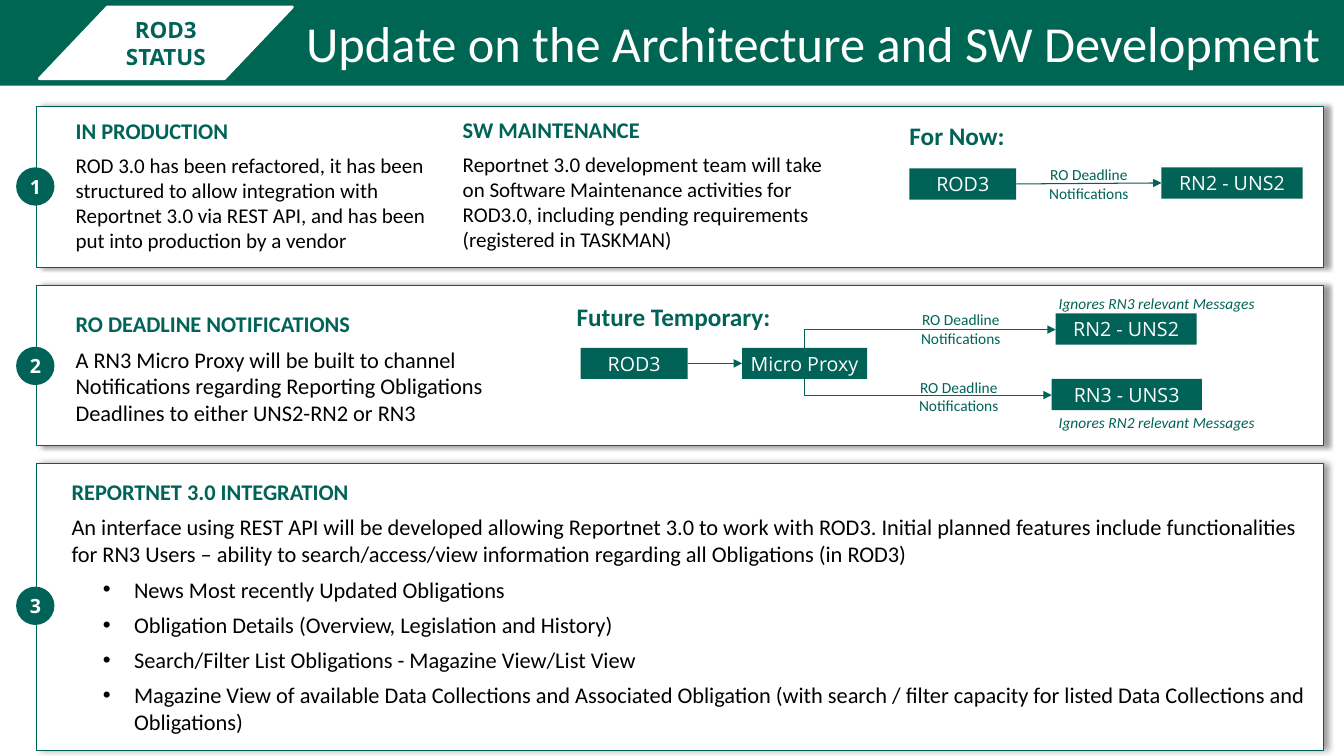
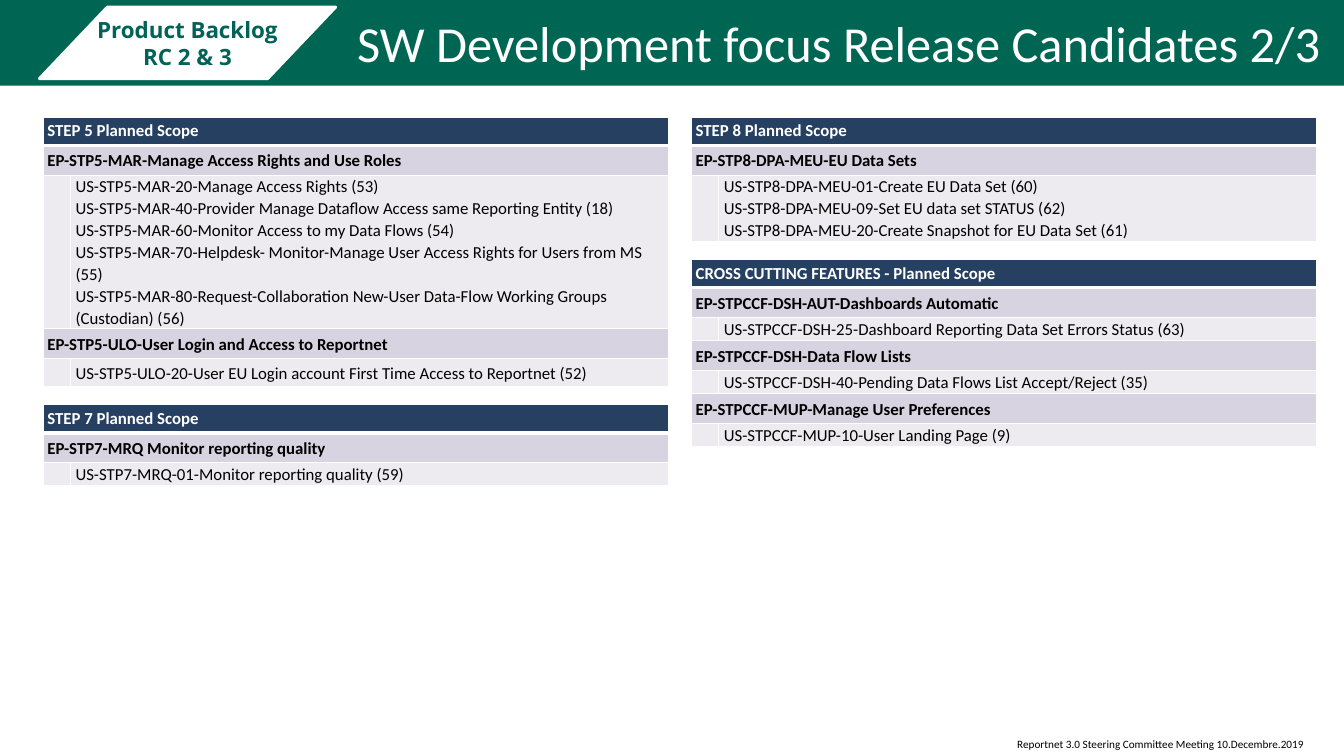
"""Build two status slides: an architecture update and a release backlog."""
from dataclasses import dataclass, replace

from lxml import etree
from pptx import Presentation
from pptx import util as u
from pptx.dml import color
from pptx.enum import shapes, text
from pptx.oxml import ns

PX = 9144
BAND, GREEN, WHITE, BLACK = "006654", "016357", "FFFFFF", "000000"
NAVY, LILAC, PALE = "254061", "D8D3E0", "EDEAF0"
LEFT, CENTER, RIGHT = text.PP_ALIGN.LEFT, text.PP_ALIGN.CENTER, text.PP_ALIGN.RIGHT
TOP, MIDDLE = text.MSO_ANCHOR.TOP, text.MSO_ANCHOR.MIDDLE
RECT = shapes.MSO_SHAPE.RECTANGLE
DEFAULT_INSETS, BOX_INSETS, NO_INSETS = (10, 5, 10, 5), (8, 8, 8, 8), (0, 0, 0, 0)
DEADLINE = "RO Deadline Notifications"


@dataclass(frozen=True)
class Box:
    left: int
    top: int
    width: int
    height: int


@dataclass(frozen=True)
class Style:
    size: int
    color: str = BLACK
    bold: bool = False
    italic: bool = False
    font: str = "Calibri"
    align: text.PP_ALIGN = LEFT
    space: int = 0
    line: float = 1.0


@dataclass(frozen=True)
class Paragraph:
    text: str
    style: Style
    indent: int = 0
    bullet: bool = False


@dataclass(frozen=True)
class Row:
    """A table row; stories with a line count are indented under an epic."""
    texts: tuple[str, ...]
    height: int
    fill: str
    style: Style


TITLE = Style(36, WHITE, align=RIGHT, space=3)
TAG = Style(16, GREEN, bold=True, font="Open Sans", align=CENTER)
NODE = Style(14, WHITE, font="Open Sans", align=CENTER)
BADGE = replace(NODE, bold=True)
HEADING = Style(16, GREEN, bold=True, space=3)
PHASE = replace(HEADING, size=18)
BODY = Style(16, space=3)
SMALL_BODY = replace(BODY, size=15)
LABEL = Style(11, GREEN, align=CENTER, space=3)
REMARK = Style(11, GREEN, italic=True)
TABLE_HEAD = Style(12, WHITE, bold=True)
EPIC = Style(12, bold=True, line=1.07)
STORY = Style(12, line=1.07)


def px(length: float) -> int:
    """Turn px into EMU."""
    return u.Emu(round(length * PX))


def rgb(value: str) -> color.RGBColor:
    """Turn a hex string into a colour."""
    return color.RGBColor.from_string(value)


def child(parent, tag: str, **attributes: str):
    """Append an XML element."""
    return etree.SubElement(parent, ns.qn(tag), attributes)


def place(shape, box: Box) -> None:
    """Move and size a shape."""
    shape.left, shape.top = px(box.left), px(box.top)
    shape.width, shape.height = px(box.width), px(box.height)


def format_paragraph(paragraph, style: Style, first: bool) -> None:
    """Apply a text style to a paragraph."""
    paragraph.alignment = style.align
    paragraph.line_spacing = style.line
    paragraph.space_before = u.Pt(0 if first else style.space)
    paragraph.space_after = u.Pt(style.space)
    font = paragraph.font
    font.name, font.size = style.font, u.Pt(style.size)
    font.bold, font.italic = style.bold, style.italic
    font.color.rgb = rgb(style.color)


def write(frame, paragraphs: list[Paragraph], insets=BOX_INSETS, anchor=TOP, wrap=True) -> None:
    """Fill a text frame with styled paragraphs."""
    frame.auto_size = text.MSO_AUTO_SIZE.NONE
    frame.word_wrap, frame.vertical_anchor = wrap, anchor
    frame.margin_left, frame.margin_top, frame.margin_right, frame.margin_bottom = map(px, insets)
    for index, item in enumerate(paragraphs):
        paragraph = frame.add_paragraph() if index else frame.paragraphs[0]
        paragraph.text = item.text
        if item.indent:
            properties = paragraph._p.get_or_add_pPr()
            properties.set("marL", str(px(item.indent)))
            properties.set("indent", str(px(-31 if item.bullet else 0)))
            if item.bullet:
                paragraph.level = 1
                child(properties, "a:buFont", typeface="Arial")
                child(properties, "a:buChar", char="•")
            else:
                child(properties, "a:buNone")
        format_paragraph(paragraph, item.style, index == 0)


def add_text(slide, box: Box, *paragraphs: Paragraph, insets=BOX_INSETS, wrap=True):
    """Add a text box."""
    shape = slide.shapes.add_textbox(px(box.left), px(box.top), px(box.width), px(box.height))
    write(shape.text_frame, list(paragraphs), insets, wrap=wrap)
    return shape


def add_block(slide, kind, box: Box, fill: str, label: str = "", style: Style = NODE, insets=BOX_INSETS):
    """Add a flat filled shape with an optional label."""
    shape = slide.shapes.add_shape(kind, px(box.left), px(box.top), px(box.width), px(box.height))
    shape.shadow.inherit = False
    shape.fill.solid()
    shape.fill.fore_color.rgb = rgb(fill)
    shape.line.fill.background()
    if label:
        lines = [Paragraph(line, style) for line in label.split("\n")]
        write(shape.text_frame, lines, insets, MIDDLE)
    return shape


def style_panel(shape) -> None:
    """Give a panel its white fill, green outline and soft shadow."""
    shape.fill.solid()
    shape.fill.fore_color.rgb = rgb(WHITE)
    shape.line.color.rgb = rgb(GREEN)
    shape.line.width = u.Pt(0.5)
    shape.shadow.inherit = False
    effects = shape.element.spPr.find(ns.qn("a:effectLst"))
    shadow = child(effects, "a:outerShdw", blurRad=str(u.Pt(4)), dist=str(u.Pt(3)), dir="0", rotWithShape="0")
    child(child(shadow, "a:srgbClr", val=BLACK), "a:alpha", val="40000")


def finish_arrow(connector) -> None:
    """Set the line and the arrowhead of a connector."""
    connector.line.color.rgb = rgb(GREEN)
    connector.line.width = u.Pt(0.75)
    child(connector.line._get_or_add_ln(), "a:tailEnd", type="triangle")
    child(connector.element.spPr, "a:effectLst")


def add_arrow(slide, source, target) -> None:
    """Join the right side of one block to the left side of another."""
    connector = slide.shapes.add_connector(shapes.MSO_CONNECTOR.STRAIGHT, 0, 0, 0, 0)
    connector.begin_connect(source, 3)
    connector.end_connect(target, 1)
    finish_arrow(connector)


def add_elbow(slide, x: int, y: int, end_x: int, end_y: int) -> None:
    """Draw an arrow that runs vertically, then turns right."""
    center_x, center_y = (x + end_x) / 2, (y + end_y) / 2
    half_width, half_height = abs(end_y - y) / 2, (end_x - x) / 2
    rise = 1 if end_y < y else -1
    connector = slide.shapes.add_connector(
        shapes.MSO_CONNECTOR.ELBOW,
        px(center_x + half_width), px(center_y + rise * half_height),
        px(center_x - half_width), px(center_y - rise * half_height))
    properties = connector.element.spPr
    properties.find(ns.qn("a:xfrm")).set("rot", "5400000" if rise > 0 else "16200000")
    properties.find(ns.qn("a:prstGeom")).set("prst", "bentConnector2")
    finish_arrow(connector)


def add_master_parts(presentation, slide) -> None:
    """Put the top band and the footer on the slide master."""
    band = add_block(slide, RECT, Box(0, 0, 1333, 85), BAND)
    footer = Paragraph("Reportnet 3.0 Steering Committee Meeting 10.Decembre.2019", Style(8))
    note = add_text(slide, Box(999, 727, 306, 24), footer, insets=DEFAULT_INSETS, wrap=False)
    for number, shape in enumerate((band, note), start=20):
        shape.element.nvSpPr.cNvPr.set("id", str(number))
        presentation.slide_master.shapes.element.append(shape.element)


def add_header(slide, title: str, title_left: int, tag: str, tag_width: int) -> None:
    """Fill the title and draw the slanted tag beside it."""
    place(slide.shapes.title, Box(title_left, 7, 1320 - title_left, 71))
    write(slide.shapes.title.text_frame, [Paragraph(title, TITLE)], DEFAULT_INSETS)
    shape = add_block(slide, shapes.MSO_SHAPE.PARALLELOGRAM, Box(39, 7, tag_width, 71), WHITE, tag, TAG, NO_INSETS)
    shape.adjustments[0] = 0.95
    shape.line.color.rgb = rgb(WHITE)
    shape.line.width = u.Pt(2)


def add_node(slide, left: int, top: int, width: int, label: str):
    """Add a system block of the flow diagrams."""
    return add_block(slide, RECT, Box(left, top, width, 31), GREEN, label)


def build_architecture(slide) -> None:
    """Fill the architecture slide."""
    add_header(slide, "Update on the Architecture and SW Development", 132, "ROD3\nSTATUS", 251)
    for top in (106, 283):
        style_panel(add_block(slide, RECT, Box(36, top, 1277, 159), WHITE))
    integration = slide.placeholders[1]
    place(integration, Box(36, 460, 1277, 284))
    style_panel(integration)
    features = (
        "News Most recently Updated Obligations",
        "Obligation Details (Overview, Legislation and History)",
        "Search/Filter List Obligations - Magazine View/List View",
        "Magazine View of available Data Collections and Associated Obligation (with search / filter capacity "
        "for listed Data Collections and Obligations)",
    )
    write(integration.text_frame, [
        Paragraph("REPORTNET 3.0 INTEGRATION", HEADING, 19),
        Paragraph("An interface using REST API will be developed allowing Reportnet 3.0 to work with ROD3. "
                  "Initial planned features include functionalities for RN3 Users – ability to "
                  "search/access/view information regarding all Obligations (in ROD3)", BODY, 19),
        *(Paragraph(feature, BODY, 81, True) for feature in features),
    ], (16, 5, 4, 5), MIDDLE)
    for number, top in enumerate((166, 344, 582), start=1):
        add_block(slide, shapes.MSO_SHAPE.OVAL, Box(16, top, 38, 38), GREEN, str(number), BADGE)

    for box, heading, body, style in (
        (Box(67, 108, 382, 152), "IN PRODUCTION",
         "ROD 3.0 has been refactored, it has been structured to allow integration with Reportnet 3.0 "
         "via REST API, and has been put into production by a vendor", SMALL_BODY),
        (Box(451, 107, 386, 152), "SW MAINTENANCE",
         "Reportnet 3.0 development team will take on Software Maintenance activities for ROD3.0, "
         "including pending requirements (registered in TASKMAN)", SMALL_BODY),
        (Box(67, 300, 470, 132), "RO DEADLINE NOTIFICATIONS",
         "A RN3 Micro Proxy will be built to channel Notifications regarding Reporting Obligations "
         "Deadlines to either UNS2-RN2 or RN3", BODY),
    ):
        add_text(slide, box, Paragraph(heading, HEADING), Paragraph(body, style))

    add_arrow(slide, add_node(slide, 902, 167, 106, "ROD3"), add_node(slide, 1152, 166, 140, "RN2 - UNS2"))
    add_arrow(slide, add_node(slide, 576, 345, 106, "ROD3"), add_node(slide, 736, 345, 124, "Micro Proxy"))
    add_node(slide, 1047, 311, 140, "RN2 - UNS2")
    add_node(slide, 1043, 376, 149, "RN3 - UNS3")
    add_elbow(slide, 798, 345, 1047, 327)
    add_elbow(slide, 798, 376, 1043, 392)
    for box, label, style in (
        (Box(894, 111, 115, 46), "For Now:", PHASE),
        (Box(564, 291, 234, 46), "Future Temporary:", PHASE),
        (Box(1022, 156, 116, 53), DEADLINE, LABEL),
        (Box(895, 300, 116, 53), DEADLINE, LABEL),
        (Box(893, 367, 116, 53), DEADLINE, LABEL),
        (Box(1042, 284, 235, 34), "Ignores RN3 relevant Messages", REMARK),
        (Box(1042, 402, 235, 34), "Ignores RN2 relevant Messages", REMARK),
    ):
        add_text(slide, box, Paragraph(label, style))


def head(label: str) -> Row:
    """Make a table heading row."""
    return Row((label,), 28, NAVY, TABLE_HEAD)


def epic(label: str) -> Row:
    """Make an epic row."""
    return Row((label,), 29, LILAC, EPIC)


def stories(*labels: str, height: int = 23) -> Row:
    """Make a row of indented stories."""
    return Row(("", "\n".join(labels)), height, PALE, STORY)


def style_cell(cell, row: Row, label: str, top: int, bottom: int) -> None:
    """Set the borders, fill and text of a cell."""
    properties = cell._tc.get_or_add_tcPr()
    for side, width in (("L", 1), ("R", 1), ("T", top), ("B", bottom)):
        border = child(properties, f"a:ln{side}", w=str(u.Pt(width)))
        child(child(border, "a:solidFill"), "a:srgbClr", val=WHITE)
    cell.fill.solid()
    cell.fill.fore_color.rgb = rgb(row.fill)
    cell.vertical_anchor = MIDDLE
    cell.margin_left = cell.margin_right = px(5 if row.style == STORY else 4)
    cell.margin_top = cell.margin_bottom = px(0 if row.style == STORY else 4)
    cell.text = label
    for paragraph in cell.text_frame.paragraphs:
        format_paragraph(paragraph, row.style, True)
        if not label:
            child(paragraph._p, "a:endParaRPr", sz="1200")


def add_scope(slide, left: int, top: int, *rows: Row) -> None:
    """Add one planned scope table."""
    height = sum(row.height for row in rows)
    table = slide.shapes.add_table(len(rows), 2, px(left), px(top), px(620), px(height)).table
    table.first_row = table.horz_banding = False
    table.columns[0].width, table.columns[1].width = px(27), px(593)
    for index, row in enumerate(rows):
        table.rows[index].height = px(row.height)
        if len(row.texts) == 1:
            table.cell(index, 0).merge(table.cell(index, 1))
        for column, label in enumerate(row.texts):
            style_cell(table.cell(index, column), row, label, 3 if index == 1 else 1, 3 if index == 0 else 1)


def build_backlog(slide) -> None:
    """Fill the backlog slide."""
    add_header(slide, "SW Development focus Release Candidates 2/3", 323, "Product Backlog\nRC 2 & 3", 294)
    add_scope(
        slide, 43, 116, head("STEP 5 Planned Scope"),
        epic("EP-STP5-MAR-Manage Access Rights and Use Roles"),
        stories("US-STP5-MAR-20-Manage Access Rights (53)",
                "US-STP5-MAR-40-Provider Manage Dataflow Access same Reporting Entity (18)",
                "US-STP5-MAR-60-Monitor Access to my Data Flows (54)",
                "US-STP5-MAR-70-Helpdesk- Monitor-Manage User Access Rights for Users from MS (55)",
                "US-STP5-MAR-80-Request-Collaboration New-User Data-Flow Working Groups (Custodian) (56)",
                height=149),
        epic("EP-STP5-ULO-User Login and Access to Reportnet"),
        stories("US-STP5-ULO-20-User EU Login account First Time Access to Reportnet (52)", height=28))
    add_scope(
        slide, 43, 401, head("STEP 7 Planned Scope"), epic("EP-STP7-MRQ Monitor reporting quality"),
        stories("US-STP7-MRQ-01-Monitor reporting quality (59)"))
    add_scope(
        slide, 686, 116, head("STEP 8 Planned Scope"), epic("EP-STP8-DPA-MEU-EU Data Sets"),
        stories("US-STP8-DPA-MEU-01-Create EU Data Set (60)", "US-STP8-DPA-MEU-09-Set EU data set STATUS (62)",
                "US-STP8-DPA-MEU-20-Create Snapshot for EU Data Set (61)", height=65))
    add_scope(
        slide, 686, 257, head("CROSS CUTTING FEATURES - Planned Scope"),
        epic("EP-STPCCF-DSH-AUT-Dashboards Automatic"),
        stories("US-STPCCF-DSH-25-Dashboard Reporting Data Set Errors Status (63)"),
        epic("EP-STPCCF-DSH-Data Flow Lists"),
        stories("US-STPCCF-DSH-40-Pending Data Flows List Accept/Reject (35)"),
        epic("EP-STPCCF-MUP-Manage User Preferences"),
        stories("US-STPCCF-MUP-10-User Landing Page (9)"))


def main() -> None:
    """Build and save the presentation."""
    presentation = Presentation()
    presentation.slide_width, presentation.slide_height = px(1333), px(750)
    architecture = presentation.slides.add_slide(presentation.slide_layouts[1])
    add_master_parts(presentation, architecture)
    build_architecture(architecture)
    build_backlog(presentation.slides.add_slide(presentation.slide_layouts[5]))
    presentation.save("out.pptx")


if __name__ == "__main__":
    main()
